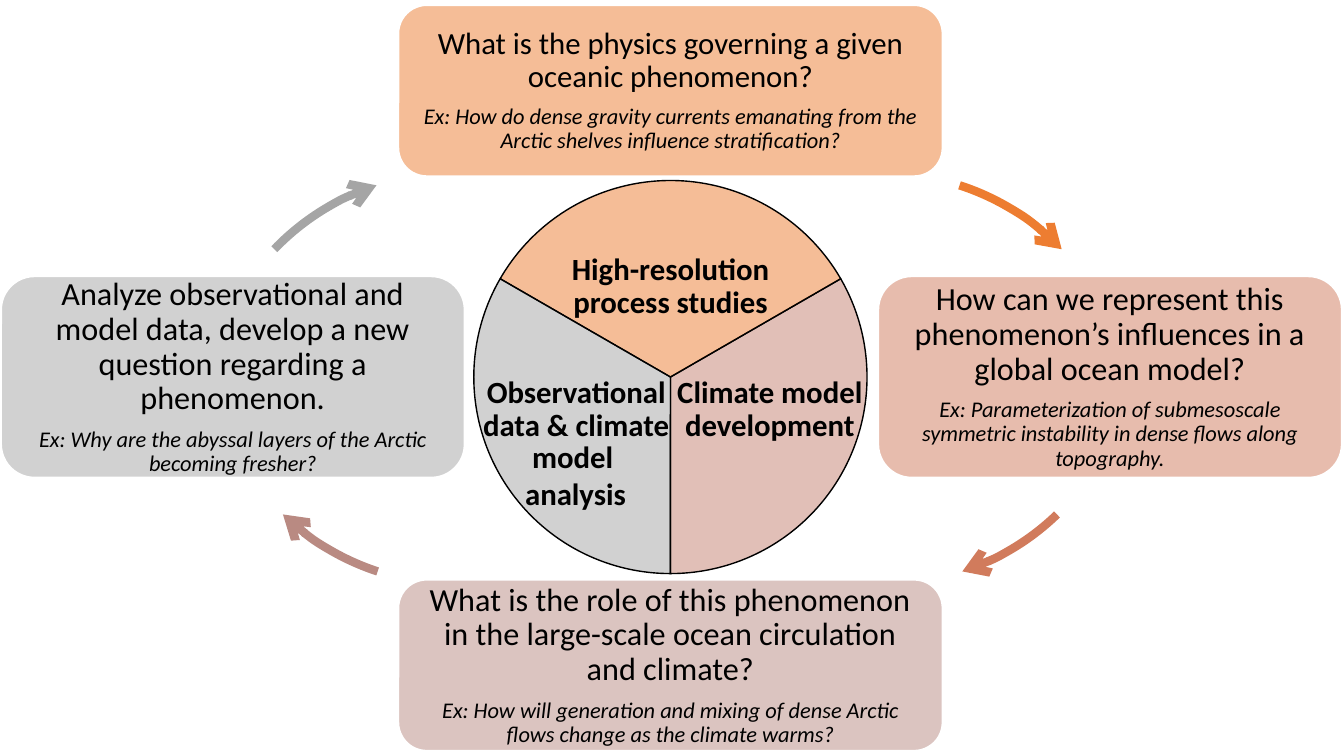
"""Build a slide showing the research cycle around three ocean science methods."""
from lxml.etree import SubElement
from pptx import Presentation
from pptx.dml.color import RGBColor
from pptx.enum.shapes import MSO_SHAPE as Shape
from pptx.enum.text import MSO_ANCHOR as Anchor, PP_ALIGN as Align
from pptx.oxml.ns import qn
from pptx.util import Inches, Pt

COLORS = {"orange": "ED7D31", "gray": "A5A5A5", "rust": "D17B5C", "mauve": "B98A82",
          "clay": "C48170", "black": "000000", "white": "FFFFFF"}
WIDTH, HEIGHT = 13.33, 7.5
CENTER_X, CENTER_Y = 6.65, 3.74
WIDE, TALL = (5.4, 1.7), (4.6, 2)
DEGREE = 0.6

QUESTIONS = [
    ("orange", (CENTER_X, 0.9), WIDE, 22, 0.09,
     "What is the physics governing a given oceanic phenomenon?",
     "Ex: How do dense gravity currents emanating from the Arctic shelves "
     "influence stratification?"),
    ("gray", (2.31, CENTER_Y), TALL, 23, 0.06,
     "Analyze observational and model data, develop a new question regarding a phenomenon.",
     "Ex: Why are the abyssal layers of the Arctic becoming fresher?"),
    ("rust", (11.01, CENTER_Y), TALL, 23, 0.06,
     "How can we represent this phenomenon’s influences in a global ocean model?",
     "Ex: Parameterization of submesoscale symmetric instability in dense flows "
     "along topography."),
    ("mauve", (CENTER_X, 6.6), WIDE, 23, 0.1,
     "What is the role of this phenomenon in the large-scale ocean circulation and climate?",
     "Ex: How will generation and mixing of dense Arctic flows change as the climate warms?"),
]
ARROW_SIZE = 4.89
ARROWS = [
    ("orange", (6.32, 1.72), 287.9, 316.2),
    ("gray", (2.04, 1.72), 223.8, 252.1),
    ("rust", (6.34, 0.9), 46, 71.9),
    ("mauve", (2.06, 0.9), 108.1, 134),
]
PIE_SIZE, PIE_TURN, SLICE = 3.9, 300, 120
SLICES = [("clay", 30), ("orange", 270), ("gray", 150)]
LABELS = [
    ((6.65, 3.46, 1.97, 1.21), "Climate model development"),
    ((5.4, 2.2, 2.5, 1.3), "High-resolution process studies"),
    ((4.7, 3.76, 2.03, 0.61), "Observational data & climate"),
]
LAST_LABEL = (5.11, 4.29, 1.21, 0.84)
LAST_LINES = [("model ", Align.CENTER), ("analysis", Align.LEFT)]


def rgb(name):
    return RGBColor.from_string(COLORS[name])


def add_shape(kind, place, line, line_width, fill=None):
    shape = slide.shapes.add_shape(kind, *map(Inches, place))
    shape.shadow.inherit = False
    shape.line.color.rgb = rgb(line)
    shape.line.width = Pt(line_width)
    if fill:
        shape.fill.solid()
        shape.fill.fore_color.rgb = rgb(fill)
        color = shape.fill._xPr.find(".//" + qn("a:srgbClr"))
        SubElement(color, qn("a:alpha"), val="50000")
    else:
        shape.fill.background()
    return shape


def set_frame(frame, side, edge):
    frame.word_wrap = True
    frame.vertical_anchor = Anchor.MIDDLE
    frame.margin_left = frame.margin_right = Inches(side)
    frame.margin_top = frame.margin_bottom = Inches(edge)


def add_para(frame, text, size, align=Align.CENTER, tight=True, bold=False, italic=False):
    first = frame.paragraphs[0]
    para = frame.add_paragraph() if first.runs else first
    para.alignment = align
    if tight:
        para.line_spacing = 0.9
        para.space_after = Pt(round(size * 0.35, 1))
    span = para.add_run()
    span.text = text
    font = span.font
    font.name, font.size, font.bold, font.italic = "Calibri", Pt(size), bold, italic
    font.color.rgb = rgb("black")


deck = Presentation()
deck.slide_width, deck.slide_height = Inches(WIDTH), Inches(HEIGHT)
slide = deck.slides.add_slide(deck.slide_layouts[6])

for color, (x, y), (width, height), size, side, question, example in QUESTIONS:
    place = (x - width / 2, y - height / 2, width, height)
    box = add_shape(Shape.ROUNDED_RECTANGLE, place, "white", 1.5, color)
    set_frame(box.text_frame, side, 0.1)
    add_para(box.text_frame, question, size)
    add_para(box.text_frame, example, 16, italic=True)

for color, corner, start, end in ARROWS:
    arrow = add_shape(Shape.ARC, (*corner, ARROW_SIZE, ARROW_SIZE), color, 6)
    arrow.adjustments[0], arrow.adjustments[1] = start * DEGREE, end * DEGREE
    SubElement(arrow.line._get_or_add_ln(), qn("a:tailEnd"), type="arrow")

pie_place = (CENTER_X - PIE_SIZE / 2, CENTER_Y - PIE_SIZE / 2, PIE_SIZE, PIE_SIZE)
for color, start in SLICES:
    wedge = add_shape(Shape.PIE, pie_place, "black", 1, color)
    wedge.rotation = PIE_TURN
    wedge.adjustments[0] = start * DEGREE
    wedge.adjustments[1] = (start + SLICE) % 360 * DEGREE

for place, text in LABELS:
    label = slide.shapes.add_textbox(*map(Inches, place))
    set_frame(label.text_frame, 0.03, 0.03)
    add_para(label.text_frame, text, 22, bold=True)

label = slide.shapes.add_textbox(*map(Inches, LAST_LABEL))
for text, align in LAST_LINES:
    add_para(label.text_frame, text, 22, align, tight=False, bold=True)

deck.save("out.pptx")
